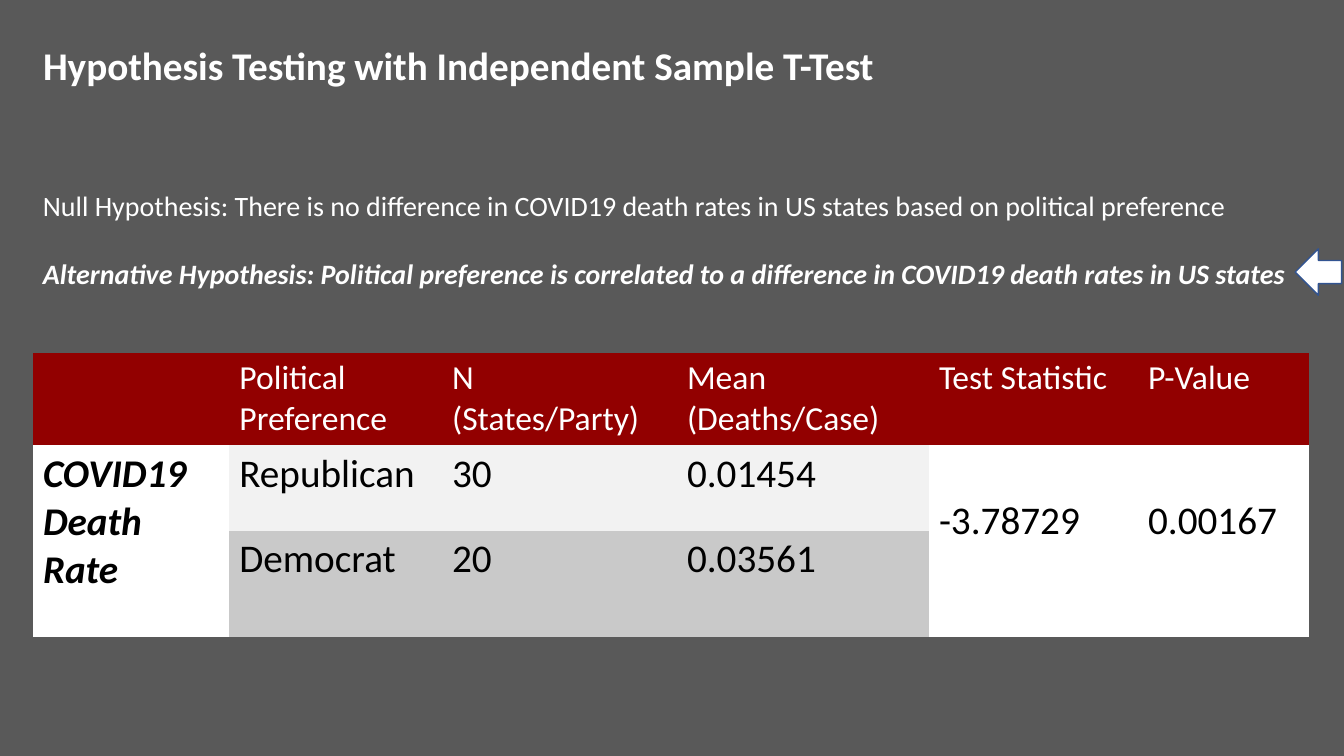
"""Build a slide of t-test results for death rates by party."""
import pptx
import pptx.util
import pptx.dml.color
import pptx.enum.shapes
import pptx.enum.text
from pptx.util import Cm, Pt

FONT = "Calibri"
WHITE, BLACK, RED, PALE, GREY = "FFFFFF", "000000", "920000", "F2F2F2", "C9C9C9"
TITLE = "Hypothesis Testing with Independent Sample T-Test"
CLAIMS = [
    ("Null Hypothesis: There is no difference in COVID19 death rates in US states based on political preference", False),
    ("Alternative Hypothesis: Political preference is correlated to a difference in COVID19 death rates in US states", True),
]
ROWS = [
    ["", "Political Preference", "N (States/Party)", "Mean\n(Deaths/Case)", "Test Statistic", "P-Value"],
    ["COVID19 Death\nRate", "Republican", "30", "0.01454", "-3.78729", "0.00167"],
    ["", "Democrat", "20", "0.03561", "", ""],
]
FILLS = [RED, PALE, GREY]
WIDTHS = [4.95, 5.36, 5.92, 6.35, 5.27, 4.31]
HEIGHTS = [2.32, 2.16, 2.68]
MERGED = (0, 4, 5)
LEFT = 0.83
PLAIN = "{2D5ABB26-0587-4C30-8999-92F81FD0307C}"


def color(code):
    return pptx.dml.color.RGBColor.from_string(code)


def paint(part, code):
    part.fill.solid()
    part.fill.fore_color.rgb = color(code)


def style(para, size, code, bold=False, slant=False):
    font = para.font
    font.name, font.size, font.bold, font.italic = FONT, Pt(size), bold, slant
    font.color.rgb = color(code)


def add_title(slide):
    title = slide.shapes.title
    title.left, title.top, title.width, title.height = Cm(LEFT), Cm(0.91), Cm(27.8), Cm(1.45)
    frame = title.text_frame
    frame.text = TITLE
    frame.auto_size = pptx.enum.text.MSO_AUTO_SIZE.NONE
    frame.vertical_anchor = pptx.enum.text.MSO_ANCHOR.TOP
    para = frame.paragraphs[0]
    para.alignment = pptx.enum.text.PP_ALIGN.LEFT
    style(para, 28, WHITE, True)


def add_claims(slide):
    box = slide.shapes.add_textbox(Cm(LEFT), Cm(4.62), Cm(32.82), Cm(2.82))
    frame = box.text_frame
    frame.word_wrap = True
    frame.text = "\n".join(text for text, _ in CLAIMS)
    for para, (_, strong) in zip(frame.paragraphs, CLAIMS):
        style(para, 20, WHITE, strong, strong)
    frame.paragraphs[-1].space_before = Pt(24.4)


def add_results(slide):
    frame = slide.shapes.add_table(len(ROWS), len(WIDTHS), Cm(LEFT), Cm(8.89), Cm(sum(WIDTHS)), Cm(sum(HEIGHTS)))
    table = frame.table
    table.first_row = table.horz_banding = False
    table._tbl.tblPr[0].text = PLAIN
    for col, width in zip(table.columns, WIDTHS):
        col.width = Cm(width)
    for row, height in zip(table.rows, HEIGHTS):
        row.height = Cm(height)
    for r, row in enumerate(ROWS):
        for c, text in enumerate(row):
            cell = table.cell(r, c)
            cell.text = text
            joint = r > 0 and c in MERGED
            paint(cell, WHITE if joint else FILLS[r])
            strong = joint and c == 0
            for para in cell.text_frame.paragraphs:
                style(para, 28 if r else 24, BLACK if r else WHITE, strong, strong)
            if joint and c:
                cell.margin_top = Cm(1.33)
    for c in MERGED:
        table.cell(1, c).merge(table.cell(2, c))


def add_arrow(slide):
    kind = pptx.enum.shapes.MSO_SHAPE.RIGHT_ARROW
    arrow = slide.shapes.add_shape(kind, Cm(32.64), Cm(6.27), Cm(1.17), Cm(1.17))
    arrow.rotation = 180
    arrow.shadow.inherit = False
    paint(arrow, WHITE)
    arrow.line.color.rgb = color("325491")
    arrow.line.width = Pt(1)


def main():
    deck = pptx.Presentation()
    deck.slide_width, deck.slide_height = Cm(33.87), Cm(19.05)
    slide = deck.slides.add_slide(deck.slide_layouts[5])
    paint(slide.background, "595959")
    add_results(slide)
    add_title(slide)
    add_claims(slide)
    add_arrow(slide)
    deck.save("out.pptx")


if __name__ == "__main__":
    main()
